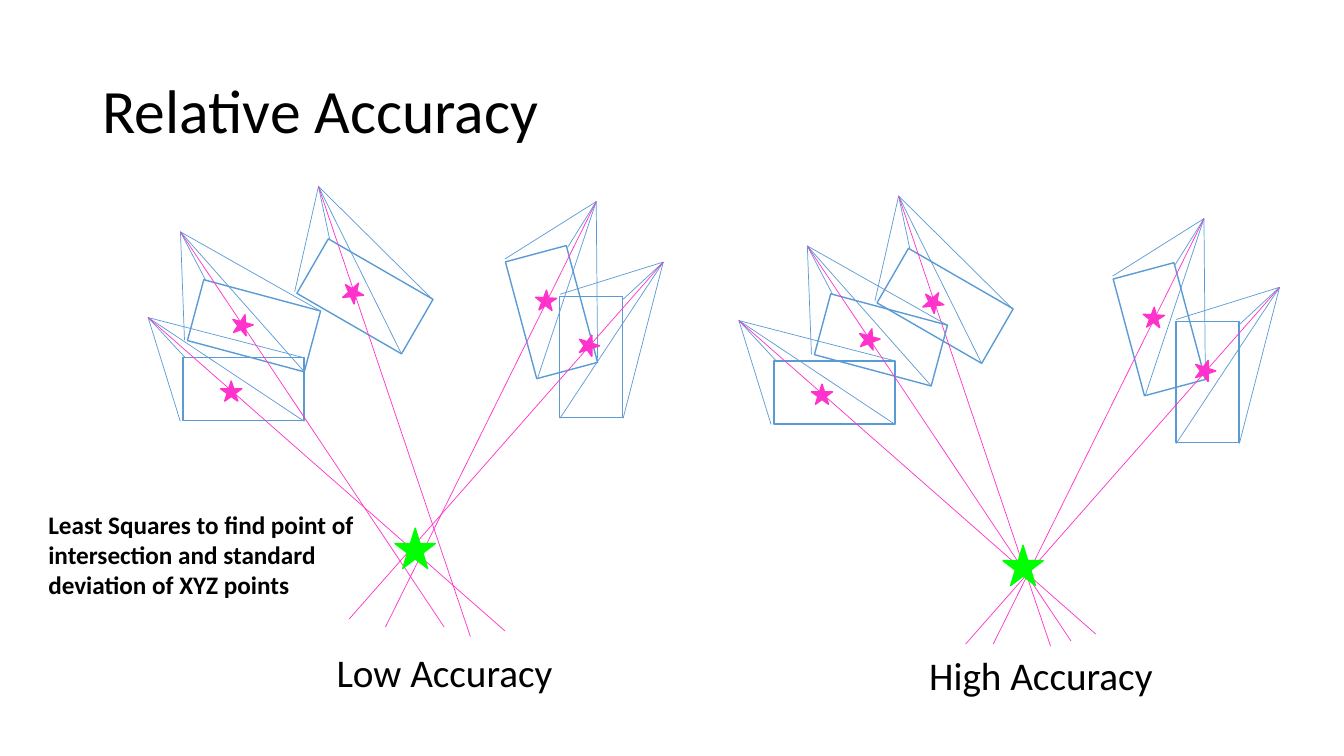
from dataclasses import dataclass

from lxml.etree import SubElement
from pptx import Presentation
from pptx.dml.color import RGBColor
from pptx.enum.shapes import MSO_CONNECTOR as Connector, MSO_SHAPE as Preset
from pptx.enum.text import MSO_ANCHOR as Anchor
from pptx.oxml.ns import qn
from pptx.util import Pt

Point = tuple[float, float]

COLORS = {"frame": "5B9BD5", "ray": "FF33CC", "target": "00FF00", "text": "000000"}
FRAME_SIZE = (86.4, 45)
MARK_SIZE = (15.1, 14.4)
TARGET_SIZE = (28.8, 28.8)


@dataclass(frozen=True)
class Camera:
    """One camera view; every point is an offset from the apex."""
    corners: tuple[Point, ...]
    frame: Point
    rotation: float
    ray_end: Point
    mark: Point


@dataclass(frozen=True)
class Scene:
    apexes: tuple[Point, ...]
    target: Point


@dataclass(frozen=True)
class Label:
    text: str
    box: tuple[float, float, float, float]
    size: float
    bold: bool = False
    line_spacing: float = 0.9
    anchor: Anchor = Anchor.TOP


CAMERAS = (
    Camera(((23, 74.2), (111.6, 74.2), (26.6, 28.8), (111.6, 28.8)),
           (25, 28.8), 0, (254.9, 223.9), (51.8, 45.4)),
    Camera(((-65.2, 41), (-42, 126.4), (-20.5, 32.8), (1, 115.2)),
           (-75.2, 56.5), 75, (-150.5, 303.8), (-42.8, 63.8)),
    Camera(((-17, 75.2), (59.2, 119.4), (8, 37.8), (81.4, 80.6)),
           (-10, 56), 30, (108.5, 321.5), (17.4, 68.2)),
    Camera(((2.9, 77.4), (88.6, 100.1), (18, 34.6), (100.1, 56.6)),
           (9.4, 44.6), 15, (188.3, 282.2), (36.7, 59)),
    Camera(((-73.8, 23), (-73.8, 111.6), (-28.7, 26.6), (-28.7, 111.6)),
           (-94.7, 45.4), 90, (-224.3, 254.9), (-60.3, 52.6)),
)

LOW = Scene(((105.8, 226.8), (425.9, 144), (227.5, 133.2), (128.9, 165.6), (473.8, 187.2)),
            (282.2, 377.3))
HIGH = Scene(((527.8, 229), (860, 156.2), (641.9, 140), (576.7, 175.7), (914, 205.2)),
             (716.4, 389.5))

LABELS = (
    Label("Relative Accuracy", (66.2, 28.8, 828, 104.4), 44, anchor=Anchor.MIDDLE),
    Label("Least Squares to find point of intersection and standard deviation of XYZ points",
          (27.4, 360, 258.5, 72.7), 18, bold=True, line_spacing=1),
    Label("Low Accuracy", (233.3, 463, 209.5, 43.9), 28),
    Label("High Accuracy", (656.6, 465.8, 209.5, 43.9), 28),
)


def color(name: str) -> RGBColor:
    return RGBColor.from_string(COLORS[name])


def shift(origin: Point, offset: Point) -> Point:
    return origin[0] + offset[0], origin[1] + offset[1]


def add_line(slide, start: Point, end: Point, color_name: str) -> None:
    line = slide.shapes.add_connector(
        Connector.STRAIGHT, *(Pt(value) for value in (*start, *end)))
    line.line.color.rgb = color(color_name)
    line.line.width = Pt(0.5)
    SubElement(line._element.spPr, qn("a:effectLst"))


def add_figure(slide, preset: Preset, position: Point, size: Point, color_name: str,
               filled: bool = True, rotation: float = 0) -> None:
    shape = slide.shapes.add_shape(preset, *(Pt(value) for value in (*position, *size)))
    shape.shadow.inherit = False
    shape.rotation = rotation
    if filled:
        shape.fill.solid()
        shape.fill.fore_color.rgb = color(color_name)
    else:
        shape.fill.background()
    shape.line.color.rgb = color(color_name)
    shape.line.width = Pt(1)


def add_camera(slide, camera: Camera, apex: Point) -> None:
    for corner in camera.corners:
        add_line(slide, apex, shift(apex, corner), "frame")
    add_figure(slide, Preset.RECTANGLE, shift(apex, camera.frame), FRAME_SIZE, "frame",
               filled=False, rotation=camera.rotation)
    add_line(slide, apex, shift(apex, camera.ray_end), "ray")
    add_figure(slide, Preset.STAR_5_POINT, shift(apex, camera.mark), MARK_SIZE, "ray",
               rotation=camera.rotation)


def add_scene(slide, scene: Scene) -> None:
    for camera, apex in zip(CAMERAS, scene.apexes):
        add_camera(slide, camera, apex)
    add_figure(slide, Preset.STAR_5_POINT, scene.target, TARGET_SIZE, "target")


def add_label(slide, label: Label) -> None:
    frame = slide.shapes.add_textbox(*(Pt(value) for value in label.box)).text_frame
    frame.word_wrap = True
    frame.vertical_anchor = label.anchor
    paragraph = frame.paragraphs[0]
    paragraph.line_spacing = label.line_spacing
    run = paragraph.add_run()
    run.text = label.text
    font_format = {"name": "Calibri", "size": Pt(label.size), "bold": label.bold}
    for attribute, value in font_format.items():
        setattr(run.font, attribute, value)
    run.font.color.rgb = color("text")


def main() -> None:
    presentation = Presentation()
    presentation.slide_width, presentation.slide_height = Pt(960), Pt(540)
    slide = presentation.slides.add_slide(presentation.slide_layouts[6])

    # Camera views and their rays
    for scene in (LOW, HIGH):
        add_scene(slide, scene)

    # Title, note and captions
    for label in LABELS:
        add_label(slide, label)

    presentation.save("out.pptx")


if __name__ == "__main__":
    main()
